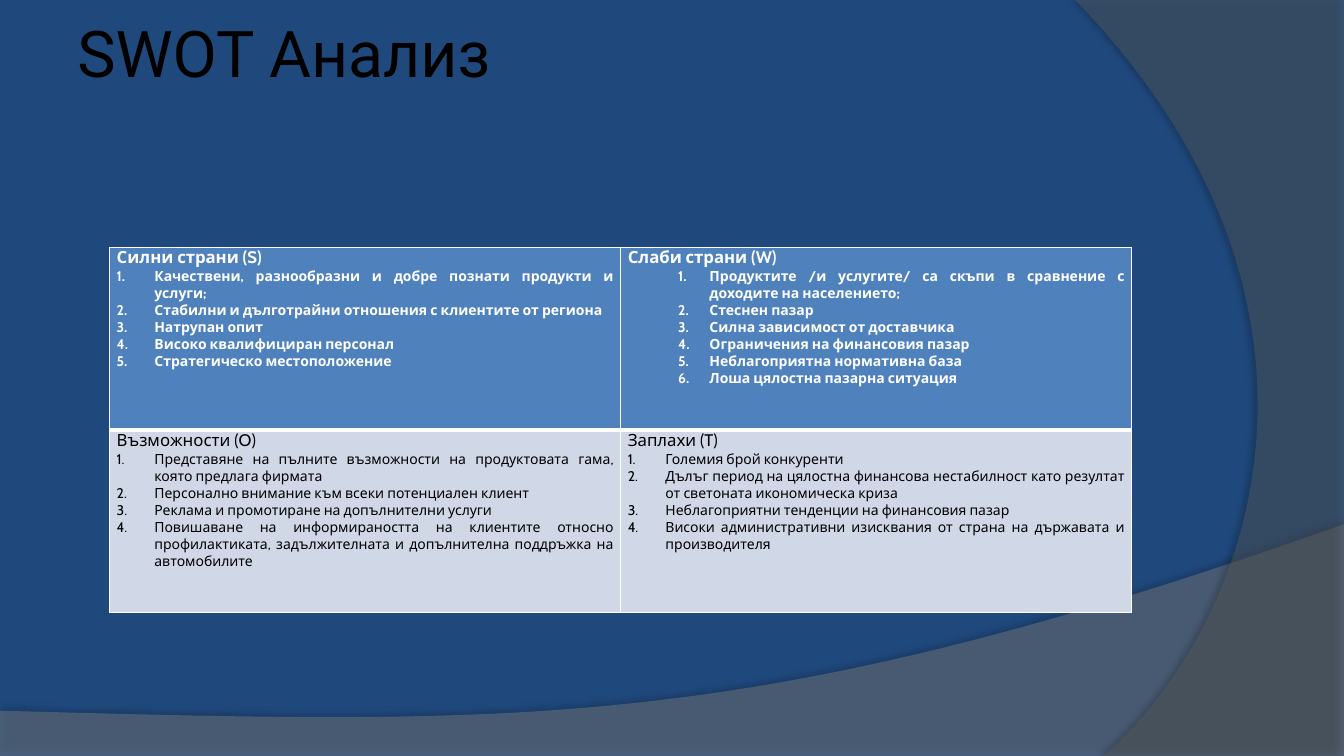
from dataclasses import dataclass

from lxml import etree
from pptx import Presentation
from pptx.dml.color import RGBColor
from pptx.enum.text import MSO_ANCHOR, PP_ALIGN
from pptx.oxml.ns import qn
from pptx.util import Cm, Pt

JUSTIFY, LEFT = PP_ALIGN.JUSTIFY, PP_ALIGN.LEFT
TOP = MSO_ANCHOR.TOP

TITLE = "SWOT Анализ"

# Each quadrant: heading, numbered items, (left margin, hanging indent) in cm
NARROW, WIDE = (0.95, 0.95), (2.06, 0.79)
QUADRANTS = [
    [
        ("Силни страни (S)", [
            "Качествени, разнообразни и добре познати продукти и услуги;",
            "Стабилни и дълготрайни отношения с клиентите от региона",
            "Натрупан опит",
            "Високо квалифициран персонал",
            "Стратегическо местоположение",
        ], NARROW),
        ("Слаби страни (W)", [
            "Продуктите /и услугите/ са скъпи в сравнение с доходите на населението;",
            "Стеснен пазар",
            "Силна зависимост от доставчика",
            "Ограничения на финансовия пазар",
            "Неблагоприятна нормативна база",
            "Лоша цялостна пазарна ситуация",
        ], WIDE),
    ],
    [
        ("Възможности (O)", [
            "Представяне на пълните възможности на продуктовата гама, която предлага фирмата",
            "Персонално внимание към всеки потенциален клиент",
            "Реклама и промотиране на допълнителни услуги",
            "Повишаване на информираността на клиентите относно профилактиката, "
            "задължителната и допълнителна поддръжка на автомобилите",
        ], NARROW),
        ("Заплахи (T)", [
            "Големия брой конкуренти",
            "Дълъг период на цялостна финансова нестабилност като резултат "
            "от светоната икономическа криза",
            "Неблагоприятни тенденции на финансовия пазар",
            "Високи административни изисквания от страна на държавата и производителя",
        ], NARROW),
    ],
]


@dataclass(frozen=True)
class Theme:
    """Colours, fonts and type sizes of the slide."""
    background: str = "1F497D"
    wave: str = "7F7F7F"
    side: str = "5E5E5E"
    dark: str = "000000"
    light: str = "FFFFFF"
    row_fills: tuple = ("4F81BD", "D0D8E8")
    row_inks: tuple = ("FFFFFF", "000000")
    title_font: str = "Roboto"
    body_font: str = "Cabin"
    title_size: int = 46
    heading_size: int = 12
    item_size: int = 10
    thin: int = 1
    thick: int = 3


THEME = Theme()
WIDTH, HEIGHT = 33.87, 19.05
TABLE_LEFT, TABLE_TOP = 2.76, 6.24
COLUMN_WIDTH, ROW_HEIGHT = 12.88, 4.6
CURVE_STEPS = 60


def add_node(parent, tag, **attributes):
    """Append a DrawingML element to parent and return it."""
    values = {name: str(value) for name, value in attributes.items()}
    return etree.SubElement(parent, qn(tag), values)


def add_shadow(effects, opacity, blur, distance, angle):
    """Add an outer shadow to an effect list; opacity in percent, angle in degrees."""
    shadow = add_node(effects, "a:outerShdw", blurRad=Pt(blur), dist=Pt(distance),
                      dir=angle * 60000, algn="ctr", rotWithShape=0)
    colour = add_node(shadow, "a:srgbClr", val=THEME.dark)
    add_node(colour, "a:alpha", val=opacity * 1000)


def bezier(start, first, second, end):
    """Return points along a cubic curve."""
    points = []
    for step in range(CURVE_STEPS + 1):
        t = step / CURVE_STEPS
        weights = ((1 - t) ** 3, 3 * t * (1 - t) ** 2, 3 * t * t * (1 - t), t ** 3)
        points.append(tuple(
            sum(weight * value for weight, value in zip(weights, axis))
            for axis in zip(start, first, second, end)))
    return points


def add_band(page, points, colour, opacity, shadow):
    """Draw a translucent closed outline with a soft shadow."""
    corners = [(Cm(x), Cm(y)) for x, y in points]
    builder = page.shapes.build_freeform(*corners[0])
    builder.add_line_segments(corners[1:], close=True)
    band = builder.convert_to_shape()
    band.fill.solid()
    band.fill.fore_color.rgb = RGBColor.from_string(colour)
    band.line.fill.background()
    band.shadow.inherit = False
    properties = band._element.spPr
    fill_colour = properties.find(qn("a:solidFill")).find(qn("a:srgbClr"))
    add_node(fill_colour, "a:alpha", val=opacity * 1000)
    add_shadow(properties.find(qn("a:effectLst")), *shadow)


def add_span(para, text, font, size, colour, bold=False):
    """Add one styled run to a paragraph."""
    span = para.add_run()
    span.text = text
    span.font.name = font
    span.font.size = Pt(size)
    span.font.bold = bold
    span.font.color.rgb = RGBColor.from_string(colour)
    return span


def add_title(page):
    """Place the shadowed slide title."""
    box = page.shapes.add_textbox(Cm(1.7), Cm(0.33), Cm(27.66), Cm(2.2))
    frame = box.text_frame
    frame.word_wrap = True
    frame.vertical_anchor = TOP
    frame.margin_top = frame.margin_bottom = 0
    para = frame.paragraphs[0]
    para.alignment = LEFT
    span = add_span(para, TITLE, THEME.title_font, THEME.title_size, THEME.dark)
    effects = etree.Element(qn("a:effectLst"))
    add_shadow(effects, 45, 4, 3, 45)
    span.font._element.find(qn("a:solidFill")).addnext(effects)


def set_borders(cell, row):
    """Draw white cell borders, thick between the two rows."""
    top, bottom = (THEME.thin, THEME.thick) if row == 0 else (THEME.thick, THEME.thin)
    properties = cell._tc.get_or_add_tcPr()
    for side, width in zip("LRTB", (THEME.thin, THEME.thin, top, bottom)):
        line = add_node(properties, f"a:ln{side}", w=Pt(width))
        fill = add_node(line, "a:solidFill")
        add_node(fill, "a:srgbClr", val=THEME.light)


def fill_quadrant(cell, row, heading, items, indent):
    """Write a heading and its numbered list in a table cell."""
    cell.margin_left = cell.margin_right = Cm(0.18)
    cell.margin_top = cell.margin_bottom = 0
    cell.vertical_anchor = TOP
    set_borders(cell, row)
    cell.fill.solid()
    cell.fill.fore_color.rgb = RGBColor.from_string(THEME.row_fills[row])
    ink, bold = THEME.row_inks[row], row == 0
    frame = cell.text_frame
    para = frame.paragraphs[0]
    para.alignment = JUSTIFY
    add_span(para, heading, THEME.body_font, THEME.heading_size, ink, bold)
    margin, hanging = indent
    for item in items:
        para = frame.add_paragraph()
        para.alignment = JUSTIFY
        properties = para._p.get_or_add_pPr()
        properties.set("marL", str(Cm(margin)))
        properties.set("indent", str(-Cm(hanging)))
        add_node(properties, "a:buFont", typeface="+mj-lt")
        add_node(properties, "a:buAutoNum", type="arabicPeriod")
        add_span(para, item, THEME.body_font, THEME.item_size, ink, bold)


def add_swot_table(page):
    """Build the two by two SWOT table."""
    rows, columns = len(QUADRANTS), len(QUADRANTS[0])
    table = page.shapes.add_table(
        rows, columns, Cm(TABLE_LEFT), Cm(TABLE_TOP),
        Cm(columns * COLUMN_WIDTH), Cm(rows * ROW_HEIGHT)).table
    table.first_row = table.horz_banding = False
    for row, quadrants in enumerate(QUADRANTS):
        for column, quadrant in enumerate(quadrants):
            fill_quadrant(table.cell(row, column), row, *quadrant)


def main():
    """Assemble and save the deck."""
    deck = Presentation()
    deck.slide_width, deck.slide_height = Cm(WIDTH), Cm(HEIGHT)
    page = deck.slides.add_slide(deck.slide_layouts[6])
    page.background.fill.solid()
    page.background.fill.fore_color.rgb = RGBColor.from_string(THEME.background)
    wave = [(0, HEIGHT), (WIDTH, HEIGHT)] + bezier(
        (WIDTH, 13.21), (18.92, 18.52), (13.23, 18.26), (0, 17.91))
    side = [(WIDTH, 0), (WIDTH, HEIGHT)] + bezier(
        (27.81, HEIGHT), (31.65, 15.72), (34.47, 7.62), (27.1, 0))
    add_band(page, wave, THEME.wave, 45, (35, 4, 3.5, 270))
    add_band(page, side, THEME.side, 40, (45, 4, 4, 180))
    add_title(page)
    add_swot_table(page)
    deck.save("out.pptx")


main()
